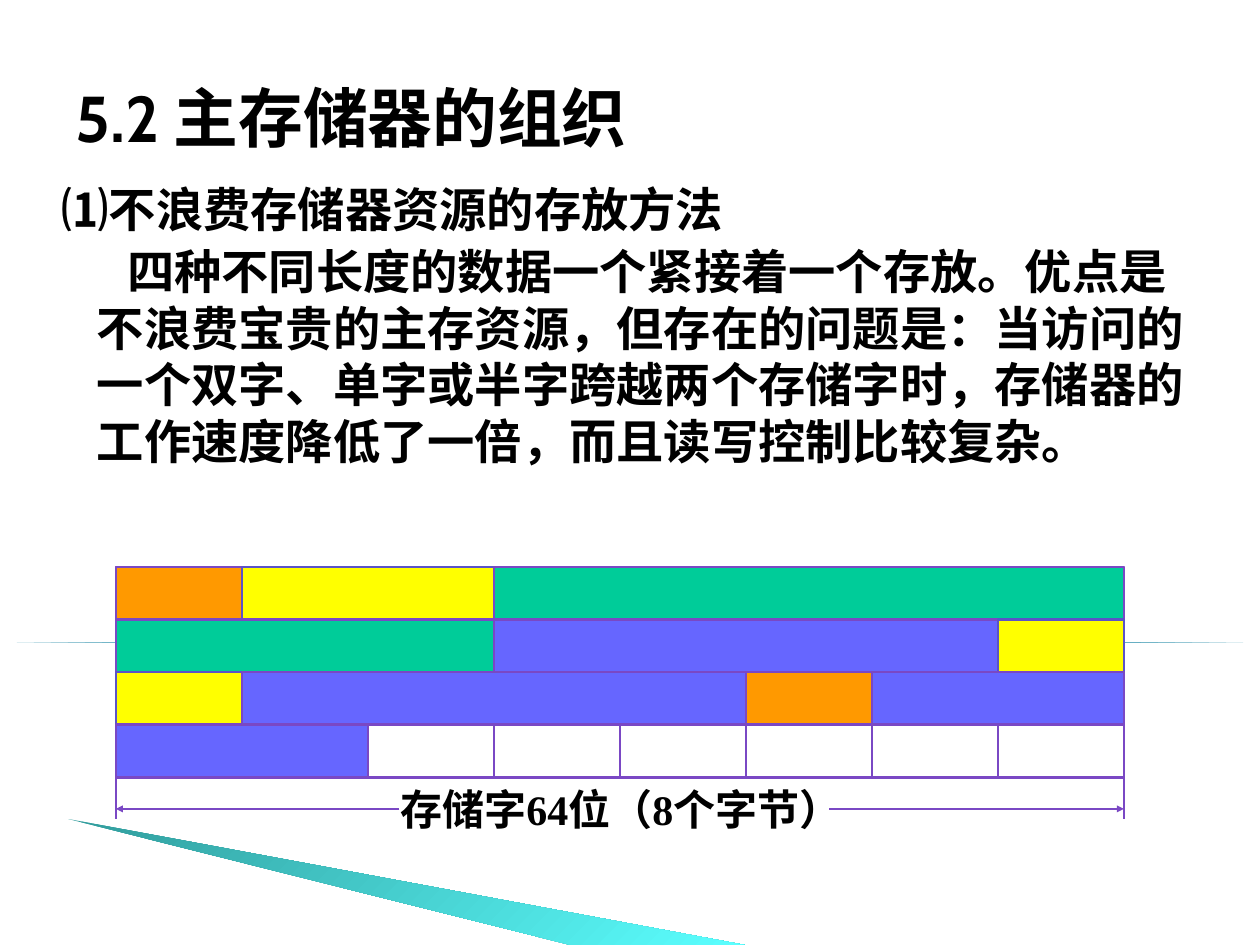
from lxml import etree
from pptx import Presentation
from pptx.dml.color import RGBColor
from pptx.enum.shapes import MSO_CONNECTOR, MSO_SHAPE
from pptx.enum.text import MSO_ANCHOR
from pptx.oxml.ns import qn
from pptx.util import Inches, Pt

RECT, TRIANGLE = MSO_SHAPE.RECTANGLE, MSO_SHAPE.RIGHT_TRIANGLE
STRAIGHT = MSO_CONNECTOR.STRAIGHT
TOP, MIDDLE = MSO_ANCHOR.TOP, MSO_ANCHOR.MIDDLE

BLACK = RGBColor(0x00, 0x00, 0x00)
PURPLE = RGBColor(0x7A, 0x48, 0xC4)
VIOLET = RGBColor(0x5B, 0x53, 0xC7)
ORANGE = RGBColor(0xFF, 0x99, 0x00)
YELLOW = RGBColor(0xFF, 0xFF, 0x00)
GREEN = RGBColor(0x00, 0xCC, 0x99)
BLUE = RGBColor(0x66, 0x66, 0xFF)
SANS, SERIF, CJK = "Cabin", "Times New Roman", "Noto Sans CJK SC"

# Content
TITLE = "5.2 主存储器的组织"
HEADING = "⑴不浪费存储器资源的存放方法"
BODY = ("四种不同长度的数据一个紧接着一个存放。优点是不浪费宝贵的主存资源，"
        "但存在的问题是：当访问的一个双字、单字或半字跨越两个存储字时，"
        "存储器的工作速度降低了一倍，而且读写控制比较复杂。")
CAPTION = "存储字64位（8个字节）"

# Each memory word: (bytes, colour) from left to right
WORDS = [
    [(1, ORANGE), (2, YELLOW), (5, GREEN)],
    [(3, GREEN), (4, BLUE), (1, YELLOW)],
    [(1, YELLOW), (4, BLUE), (1, ORANGE), (2, BLUE)],
    [(2, BLUE)],
]
BYTES = 8
LEFT, GRID_TOP, BYTE_W, GRID_H = 0.92, 4.5, 1, 1.67
ROW_H = GRID_H / len(WORDS)
RIGHT, BOTTOM = LEFT + BYTES * BYTE_W, GRID_TOP + GRID_H
DIM_Y, TICK_BOTTOM = 6.42, 6.5

prs = Presentation()
prs.slide_width, prs.slide_height = Inches(10), Inches(7.5)
s = prs.slides.add_slide(prs.slide_layouts[6])


def add_gradient(sp, colors, angle):
    sp.shadow.inherit = False
    sp.line.fill.background()
    sp.fill.gradient()
    sp.fill.gradient_angle = 360 - angle
    stops = sp.fill._fill._gradFill.find(qn("a:gsLst"))
    for stop in list(stops):
        stops.remove(stop)
    for i, color in enumerate(colors):
        stop = etree.SubElement(stops, qn("a:gs"), pos=str(100000 * i // (len(colors) - 1)))
        etree.SubElement(stop, qn("a:srgbClr"), val=color)


def add_cell(x, y, w, fill=None):
    sp = s.shapes.add_shape(RECT, Inches(x), Inches(y), Inches(w), Inches(ROW_H))
    sp.shadow.inherit = False
    if fill is None:
        sp.fill.background()
    else:
        sp.fill.solid()
        sp.fill.fore_color.rgb = fill
    sp.line.color.rgb = VIOLET if fill == YELLOW else PURPLE
    sp.line.width = Pt(1.5)
    return sp


def add_line(x1, y1, x2, y2, arrow=False):
    line = s.shapes.add_connector(STRAIGHT, Inches(x1), Inches(y1), Inches(x2), Inches(y2))
    line.line.color.rgb = PURPLE
    line.line.width = Pt(1.5)
    if arrow:
        etree.SubElement(line.line._get_or_add_ln(), qn("a:tailEnd"),
                         type="triangle", w="sm", len="sm")
    etree.SubElement(line._element.spPr, qn("a:effectLst"))
    return line


def add_text(paragraphs, x, y, w, h, size, font, anchor=TOP):
    """Each paragraph is (text, left margin, first-line indent, space before, line spacing)."""
    tf = s.shapes.add_textbox(Inches(x), Inches(y), Inches(w), Inches(h)).text_frame
    tf.word_wrap = True
    tf.vertical_anchor = anchor
    for i, (text, margin, indent, before, spacing) in enumerate(paragraphs):
        p = tf.paragraphs[0] if i == 0 else tf.add_paragraph()
        pPr = p._p.get_or_add_pPr()
        pPr.set("marL", str(Inches(margin)))
        pPr.set("indent", str(Inches(indent)))
        p.space_before = Pt(before)
        p.line_spacing = spacing
        r = p.add_run()
        r.text = text
        r.font.size, r.font.bold, r.font.name = Pt(size), True, font
        r.font.color.rgb = BLACK
        etree.SubElement(r._r.get_or_add_rPr(), qn("a:ea"), typeface=CJK)


# Background decoration
rule = s.shapes.add_shape(TRIANGLE, 0, Inches(5.1), Inches(10), 0)
add_gradient(rule, ["007897", "4ABBE0", "007897"], 50)
builder = s.shapes.build_freeform(Inches(0.54), Inches(6.5))
builder.add_line_segments([(Inches(x), Inches(y)) for x, y in [(5.91, 7.5), (4.53, 7.5)]])
add_gradient(builder.convert_to_shape(), ["319C9C", "5BFFFF"], 45)

# Memory word outlines and byte dividers
rows = [add_cell(LEFT, GRID_TOP + i * ROW_H, BYTES * BYTE_W) for i in range(len(WORDS))]
for i in range(1, BYTES):
    x = LEFT + i * BYTE_W
    divider = add_line(x, GRID_TOP, x, BOTTOM)
    if i == BYTES // 2:
        divider.begin_connect(rows[0], 0)
        divider.end_connect(rows[-1], 2)

# Width dimension under the grid
for x, inner in [(LEFT, 3.17), (RIGHT, 6.58)]:
    add_line(x, 6.08, x, TICK_BOTTOM)
    add_line(inner, DIM_Y, x, DIM_Y, arrow=True)
add_text([(CAPTION, 0, 0, 0, 1.0)], 3.08, 6.17, 4.17, 0.5, 24, SERIF)

# Title and body
add_text([(TITLE, 0, 0, 0, 1.0)], 0.5, 0.3, 9, 1.25, 37, SANS, anchor=MIDDLE)
add_text([(HEADING, 0.4, -0.28, 0, 0.8), (BODY, 0.4, 0.24, 3, 1.0)],
         0.27, 1.47, 9.23, 2.5, 27, SANS)

# Stored data items
for i, word in enumerate(WORDS):
    x = LEFT
    for count, color in word:
        add_cell(x, GRID_TOP + i * ROW_H, count * BYTE_W, color)
        x += count * BYTE_W

prs.save("out.pptx")
